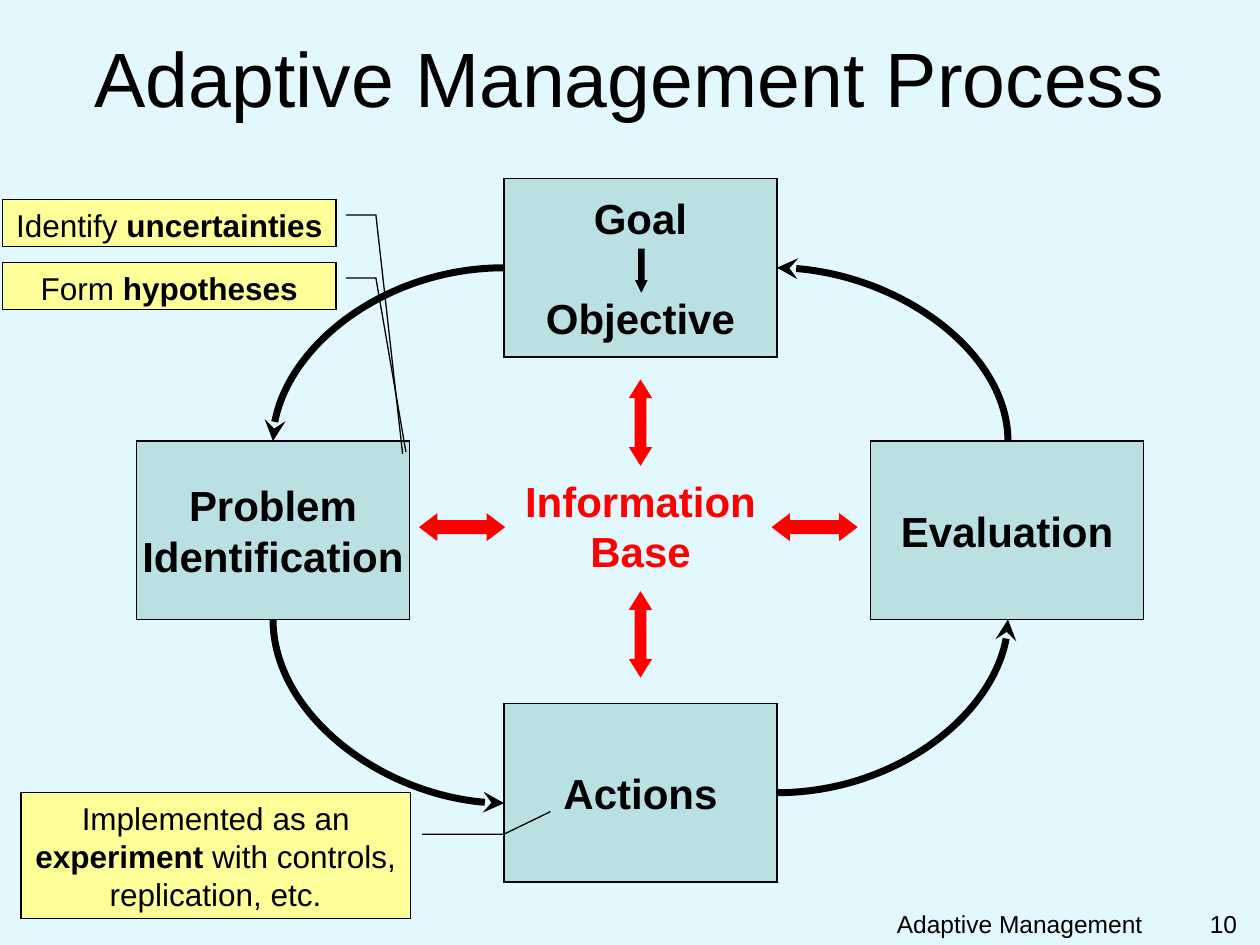
from dataclasses import dataclass

from lxml.etree import SubElement
from pptx import Presentation
from pptx.dml.color import RGBColor
from pptx.enum.shapes import MSO_CONNECTOR, MSO_SHAPE
from pptx.enum.text import MSO_ANCHOR, PP_ALIGN
from pptx.oxml.ns import qn
from pptx.util import Pt


@dataclass(frozen=True)
class Theme:
    font: str = "Arial"
    background: RGBColor = RGBColor(0xE2, 0xF7, 0xFE)
    stage: RGBColor = RGBColor(0xBB, 0xE0, 0xE3)
    note: RGBColor = RGBColor(0xFF, 0xFF, 0x99)
    ink: RGBColor = RGBColor(0, 0, 0)
    accent: RGBColor = RGBColor(0xFF, 0, 0)
    title_size: float = 44
    stage_size: float = 24
    note_size: float = 18
    footer_size: float = 14
    outline: float = 0.75
    flow_width: float = 4


THEME = Theme()
STAGE_WIDTH, STAGE_HEIGHT = 156, 102


def add_run(paragraph, text, size, color=THEME.ink, bold=False):
    run = paragraph.add_run()
    run.text = text
    run.font.name = THEME.font
    run.font.size = Pt(size)
    run.font.bold = bold
    run.font.color.rgb = color


def write_lines(frame, lines, size, color=THEME.ink, bold=False,
                alignment=PP_ALIGN.CENTER, gap=0):
    """Write one paragraph per line, with a gap between paragraphs."""
    for index, line in enumerate(lines):
        paragraph = frame.paragraphs[0] if index == 0 else frame.add_paragraph()
        paragraph.alignment = alignment
        if index and gap:
            paragraph.space_before = Pt(gap)
        add_run(paragraph, line, size, color, bold)


def add_box(slide, kind, left, top, width, height, fill, line=THEME.ink, adjustments=()):
    shape = slide.shapes.add_shape(kind, Pt(left), Pt(top), Pt(width), Pt(height))
    shape.shadow.inherit = False
    shape.fill.solid()
    shape.fill.fore_color.rgb = fill
    shape.line.color.rgb = line
    shape.line.width = Pt(THEME.outline)
    properties = shape._element.spPr
    SubElement(properties.find(qn("a:ln")), qn("a:miter"), lim="800000")
    # Guides are written by name, so their order is certain
    guides = properties.find(qn("a:prstGeom")).find(qn("a:avLst"))
    guides.clear()
    for number, value in enumerate(adjustments, start=1):
        SubElement(guides, qn("a:gd"), name=f"adj{number}",
                   fmla=f"val {round(value * 100000)}")
    return shape


def add_stage(slide, left, top, lines, gap=0):
    shape = add_box(slide, MSO_SHAPE.FLOWCHART_PROCESS, left, top,
                    STAGE_WIDTH, STAGE_HEIGHT, THEME.stage)
    frame = shape.text_frame
    frame.word_wrap = False
    frame.vertical_anchor = MSO_ANCHOR.MIDDLE
    write_lines(frame, lines, THEME.stage_size, bold=True, gap=gap)


def add_label(slide, left, top, width, height, lines, size, side_margin=7.2, **style):
    box = slide.shapes.add_textbox(Pt(left), Pt(top), Pt(width), Pt(height))
    frame = box.text_frame
    frame.word_wrap = True
    frame.margin_left = frame.margin_right = Pt(side_margin)
    write_lines(frame, lines, size, **style)


def add_callout(slide, left, top, width, height, pointer, runs):
    shape = add_box(slide, MSO_SHAPE.LINE_CALLOUT_2, left, top, width, height,
                    THEME.note, adjustments=pointer)
    frame = shape.text_frame
    frame.word_wrap = True
    frame.vertical_anchor = MSO_ANCHOR.TOP
    paragraph = frame.paragraphs[0]
    paragraph.alignment = PP_ALIGN.CENTER
    for text, bold in runs:
        add_run(paragraph, text, THEME.note_size, bold=bold)


def add_flow(slide, start, end, leaves_vertically=False):
    """Draw a quarter-turn arrow; one that leaves vertically is a turned frame."""
    (start_x, start_y), (end_x, end_y) = start, end
    rotation = 0
    if leaves_vertically:
        rotation = 90 if end_y < start_y else 270
        center_x, center_y = (start_x + end_x) / 2, (start_y + end_y) / 2
        half_width, half_height = abs(end_y - start_y) / 2, abs(end_x - start_x) / 2
        start_x, end_x = center_x + half_width, center_x - half_width
        start_y, end_y = center_y - half_height, center_y + half_height
    connector = slide.shapes.add_connector(
        MSO_CONNECTOR.CURVE, Pt(start_x), Pt(start_y), Pt(end_x), Pt(end_y))
    connector.line.color.rgb = THEME.ink
    connector.line.width = Pt(THEME.flow_width)
    properties = connector._element.spPr
    properties.find(qn("a:prstGeom")).set("prst", "curvedConnector2")
    if rotation:
        properties.find(qn("a:xfrm")).set("rot", str(rotation * 60000))
    SubElement(properties.find(qn("a:ln")), qn("a:tailEnd"), type="stealth")
    SubElement(properties, qn("a:effectLst"))


def add_title(slide, text):
    title = slide.shapes.title
    title.left, title.top, title.width, title.height = Pt(5), Pt(9.5), Pt(710), Pt(68.5)
    title.text_frame.vertical_anchor = MSO_ANCHOR.MIDDLE
    write_lines(title.text_frame, [text], THEME.title_size)


def main():
    presentation = Presentation()
    presentation.slide_width, presentation.slide_height = Pt(720), Pt(540)
    slide = presentation.slides.add_slide(presentation.slide_layouts[5])
    slide.background.fill.solid()
    slide.background.fill.fore_color.rgb = THEME.background

    # Title and footer
    add_title(slide, "Adaptive Management Process")
    for left, width, text in ((432, 228, "Adaptive Management"), (666, 48, "10")):
        add_label(slide, left, 516, width, 24, [text], THEME.footer_size,
                  alignment=PP_ALIGN.RIGHT)

    # Stages of the cycle
    add_stage(slide, 288, 102, ["Goal", "Objective"], gap=28)
    add_stage(slide, 288, 402, ["Actions"])
    add_stage(slide, 78, 252, ["Problem", "Identification"])
    add_stage(slide, 497.5, 252, ["Evaluation"])

    # Information base in the middle, with its arrows
    add_label(slide, 293, 268, 146, 65, ["Information", "Base"], THEME.stage_size,
              side_margin=2, color=THEME.accent, bold=True)
    for top in (217.5, 338.5):
        add_box(slide, MSO_SHAPE.UP_DOWN_ARROW, 360, top, 12, 48,
                THEME.accent, THEME.accent, (0.5, 0.8))
    for left in (240, 441.5):
        add_box(slide, MSO_SHAPE.LEFT_RIGHT_ARROW, left, 294, 48, 14.5,
                THEME.accent, THEME.accent, (0.5, 0.66))
    add_box(slide, MSO_SHAPE.DOWN_ARROW, 363.5, 142.5, 6, 24, THEME.ink,
            adjustments=(0.5, 1))

    # Curved arrows round the cycle
    add_flow(slide, (444, 453), (576, 354))
    add_flow(slide, (576, 252), (444, 153), leaves_vertically=True)
    add_flow(slide, (288, 153), (156, 252))
    add_flow(slide, (156, 354), (288, 459), leaves_vertically=True)

    # Notes with pointers
    add_callout(slide, 1.5, 114, 190.5, 27, (0.33, 1.03, 0.33, 1.12, 5.38, 1.2),
                [("Identify ", False), ("uncertainties", True)])
    add_callout(slide, 12, 453, 222.5, 72, (0.33, 1.03, 0.33, 1.24, 0.15, 1.36),
                [("Implemented as an ", False), ("experiment", True),
                 (" with controls, replication, etc.", False)])
    add_callout(slide, 1.5, 150, 190.5, 27, (0.33, 1.03, 0.33, 1.12, 4.01, 1.21),
                [("Form ", False), ("hypotheses", True)])

    presentation.save("out.pptx")


if __name__ == "__main__":
    main()
